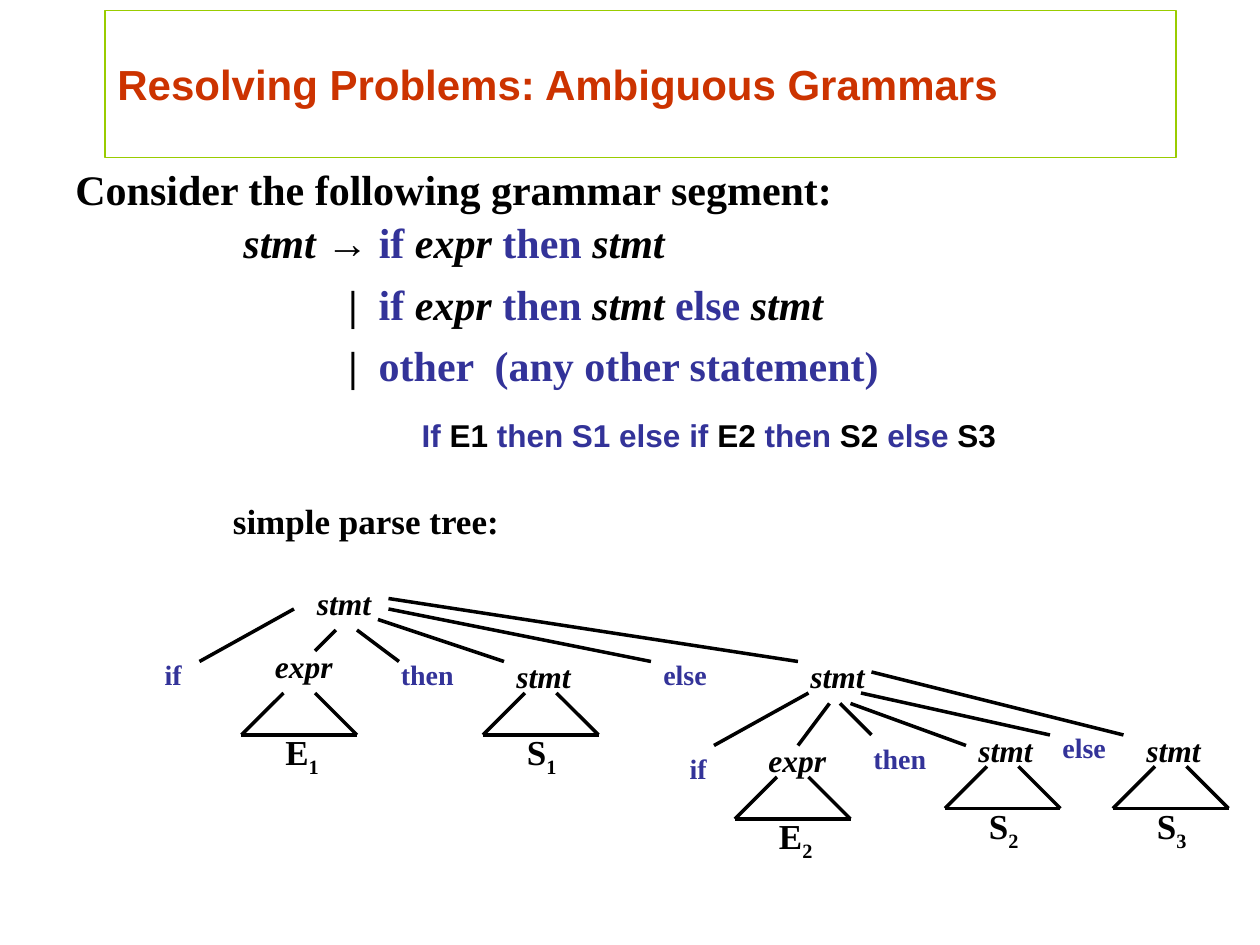
from typing import NamedTuple

import pptx
import pptx.dml.color
import pptx.enum.shapes
import pptx.enum.text
import pptx.oxml
import pptx.oxml.ns
import pptx.util

# The slide is a grid of 120 columns by 90 rows, twelve to the inch.
COLUMNS, ROWS = 120, 90
CELL = pptx.util.Inches(1) // 12

BLACK, BLUE, RED, GREEN = "000000", "333399", "CC3300", "99CC00"
SERIF, SANS = "Times New Roman", "Arial"
CENTER = pptx.enum.text.PP_ALIGN.CENTER


class Run(NamedTuple):
    text: str
    color: str = BLACK
    italic: bool = False
    baseline: int = 0


class Box(NamedTuple):
    col: float
    row: float
    cols: float
    rows: float


class Node(NamedTuple):
    text: str
    col: int
    row: int


class Edge(NamedTuple):
    col1: int
    row1: int
    col2: int
    row2: int


class Subtree(NamedTuple):
    letter: str
    index: str
    col: int
    row: int


def keyword(text: str) -> Run:
    return Run(text, BLUE)


def symbol(text: str) -> Run:
    return Run(text, italic=True)


IF_THEN = [keyword("if "), symbol("expr "), keyword("then ")]
PRODUCTIONS = [
    [symbol("stmt"), Run(" → "), *IF_THEN, symbol("stmt")],
    [Run("|  "), *IF_THEN, symbol("stmt "), keyword("else "), symbol("stmt")],
    [Run("|  "), keyword("other  (any other statement)")],
]
SENTENCE = [
    keyword("If "), Run("E1 "), keyword("then S1 else if "), Run("E2 "),
    keyword("then "), Run("S2 "), keyword("else "), Run("S3"),
]

SYMBOLS = [
    Node("stmt", 29, 55), Node("expr", 25, 61), Node("stmt", 48, 62),
    Node("stmt", 76, 62), Node("expr", 72, 70), Node("stmt", 92, 69),
    Node("stmt", 108, 69),
]
KEYWORDS = [
    Node("if", 12, 62), Node("then", 37, 62), Node("else", 62, 62),
    Node("if", 62, 71), Node("then", 82, 70), Node("else", 100, 69),
]
SUBTREES = [
    Subtree("E", "1", 23, 66), Subtree("S", "1", 46, 66),
    Subtree("E", "2", 70, 74), Subtree("S", "2", 90, 73),
    Subtree("S", "3", 106, 73),
]
EDGES = [
    # From the root
    Edge(28, 58, 19, 63), Edge(32, 60, 30, 62), Edge(34, 60, 38, 63),
    Edge(36, 59, 48, 63), Edge(37, 58, 62, 63), Edge(37, 57, 76, 63),
    # From the nested statement
    Edge(77, 66, 68, 71), Edge(79, 67, 76, 71), Edge(80, 67, 83, 70),
    Edge(81, 67, 92, 71), Edge(82, 66, 100, 70), Edge(83, 64, 107, 70),
]


def rgb(color: str) -> pptx.dml.color.RGBColor:
    return pptx.dml.color.RGBColor.from_string(color)


def grid(*cells: float) -> list[int]:
    return [round(cell * CELL) for cell in cells]


def write(p, runs: list[Run], size: float, font: str = SERIF) -> None:
    p.font.name, p.font.size, p.font.bold = font, pptx.util.Pt(size), True
    for run in runs:
        r = p.add_run()
        r.text = run.text
        r.font.color.rgb = rgb(run.color)
        if run.italic:
            r.font.italic = True
        if run.baseline:
            r.font._element.set("baseline", str(run.baseline * 1000))


def add_text(slide, box: Box, runs: list[Run], size: float,
             font: str = SERIF, align=None):
    sp = slide.shapes.add_textbox(*grid(*box))
    sp.text_frame.word_wrap = True
    p = sp.text_frame.paragraphs[0]
    p.alignment = align
    write(p, runs, size, font)
    return sp


def add_line(slide, edge: Edge) -> None:
    line = slide.shapes.add_connector(
        pptx.enum.shapes.MSO_CONNECTOR.STRAIGHT, *grid(*edge))
    line.line.color.rgb = rgb(BLACK)
    line.line.width = pptx.util.Pt(2)
    line._element.spPr.append(pptx.oxml.parse_xml(
        f'<a:effectLst {pptx.oxml.ns.nsdecls("a")}/>'))


def add_title(slide) -> None:
    sp = add_text(slide, Box(10, 1, 102, 14),
                  [Run("Resolving Problems: Ambiguous Grammars", RED)], 24, SANS)
    sp.text_frame.vertical_anchor = pptx.enum.text.MSO_ANCHOR.MIDDLE
    sp.line.color.rgb = rgb(GREEN)
    sp.line.width = pptx.util.Pt(0.75)


def add_grammar(slide) -> None:
    first, *alternatives = PRODUCTIONS
    sp = add_text(slide, Box(22, 21, 68, 17.5), first, 24)
    tf = sp.text_frame
    for runs in alternatives:
        p = tf.add_paragraph()
        write(p, runs, 24)
        p.space_before = pptx.util.Pt(12)
        p._p.get_or_add_pPr().set("marL", str(10 * CELL))
    for p in tf.paragraphs:
        p.line_spacing = 0.8


def add_subtree(slide, tree: Subtree) -> None:
    """Draw an open-topped triangle with its subscripted label below."""
    left, top = tree.col, tree.row
    right, bottom = left + 11, top + 4
    add_line(slide, Edge(left + 4, top, left, bottom))
    add_line(slide, Edge(right - 4, top, right, bottom))
    add_line(slide, Edge(left, bottom, right, bottom))
    add_text(slide, Box(left + 3, top + 3, 6, 5.2),
             [Run(tree.letter), Run(tree.index, baseline=-25)], 20)


def add_tree(slide) -> None:
    for node in SYMBOLS:
        add_text(slide, Box(node.col, node.row, 9, 4.8), [symbol(node.text)], 18)
    for node in KEYWORDS:
        add_text(slide, Box(node.col, node.row, 9, 4.4), [keyword(node.text)], 16,
                 align=CENTER if node.text == "if" else None)
    for tree in SUBTREES:
        add_subtree(slide, tree)
    for edge in EDGES:
        add_line(slide, edge)


def main() -> None:
    prs = pptx.Presentation()
    prs.slide_width, prs.slide_height = grid(COLUMNS, ROWS)
    slide = prs.slides.add_slide(prs.slide_layouts[6])
    add_title(slide)
    add_text(slide, Box(6, 15, 97, 6),
             [Run("Consider the following grammar segment:")], 24)
    add_grammar(slide)
    add_text(slide, Box(19, 39, 97, 4.8), SENTENCE, 18, SANS, CENTER)
    add_text(slide, Box(21, 47, 58, 5.2), [Run("simple parse tree:")], 20)
    add_tree(slide)
    prs.save("out.pptx")


if __name__ == "__main__":
    main()
